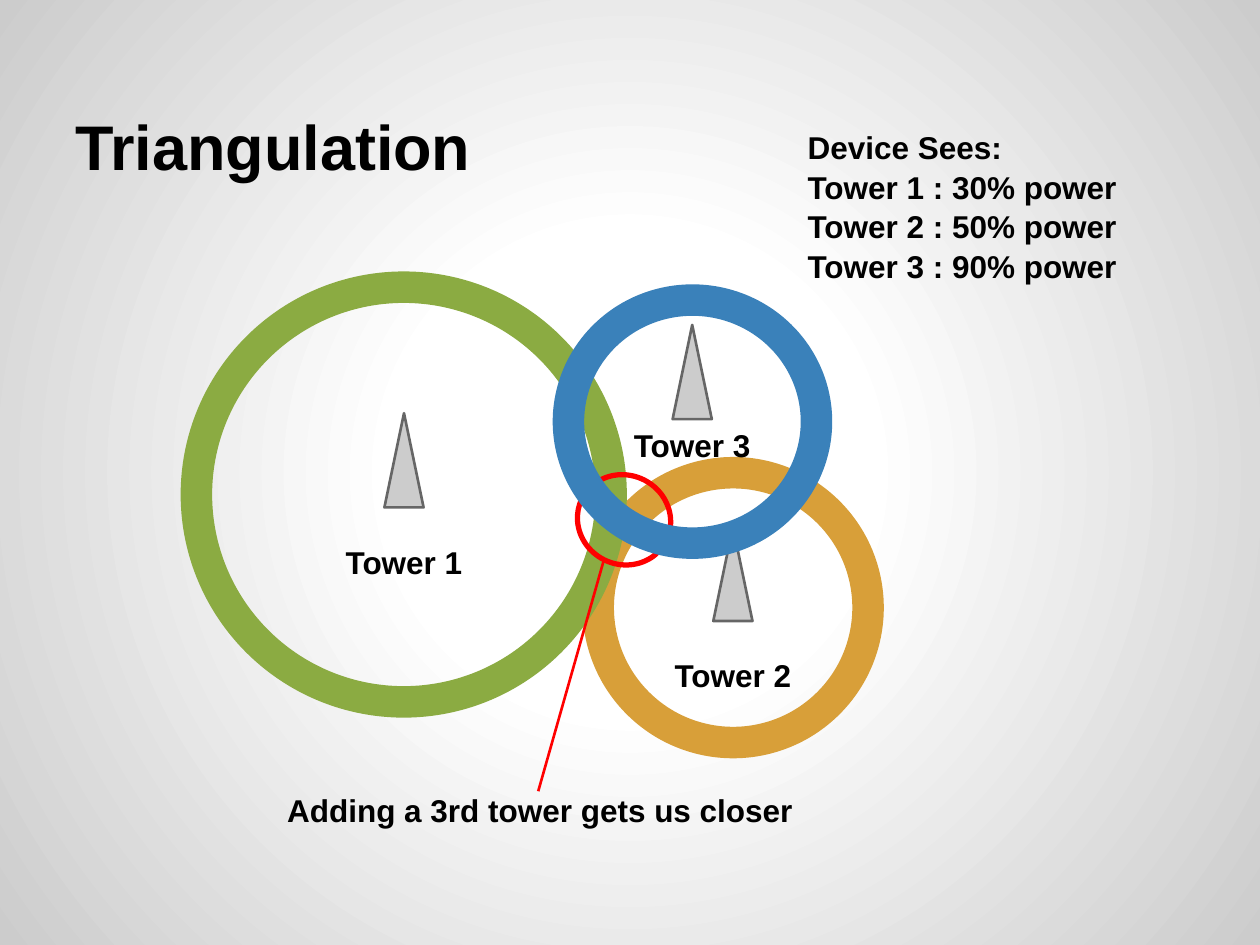
"""Builds the Triangulation slide, with three tower ranges and their overlap."""
import lxml.etree
import pptx
import pptx.dml.color
import pptx.enum.shapes
import pptx.enum.text
import pptx.oxml.ns
import pptx.util

Cm, Pt = pptx.util.Cm, pptx.util.Pt
RGBColor = pptx.dml.color.RGBColor
MSO_SHAPE = pptx.enum.shapes.MSO_SHAPE
PP_ALIGN = pptx.enum.text.PP_ALIGN
MSO_ANCHOR = pptx.enum.text.MSO_ANCHOR
qn = pptx.oxml.ns.qn

BLACK = RGBColor(0x00, 0x00, 0x00)
WHITE = RGBColor(0xFF, 0xFF, 0xFF)
SILVER = RGBColor(0xCC, 0xCC, 0xCC)
GREY = RGBColor(0x66, 0x66, 0x66)
ORANGE = RGBColor(0xD8, 0x9F, 0x39)
GREEN = RGBColor(0x8B, 0xAB, 0x42)
BLUE = RGBColor(0x3A, 0x81, 0xBA)
RED = RGBColor(0xFF, 0x00, 0x00)


class TowerSlide:
    font = "Arial"
    text_size = 18
    title_size = 36
    inset = Cm(0.25)
    tower_width, tower_height = 0.79, 1.9
    label_width, label_height = 3.33, 1.27

    def __init__(self, deck):
        self.slide = deck.slides.add_slide(deck.slide_layouts[5])

    def background(self, stops):
        self.slide.background.fill.gradient()
        gradient = self.slide.element.find(".//" + qn("a:gradFill"))
        for child in list(gradient):
            gradient.remove(child)
        stop_list = lxml.etree.SubElement(gradient, qn("a:gsLst"))
        for percent, color in stops:
            stop = lxml.etree.SubElement(stop_list, qn("a:gs"), pos=str(percent * 1000))
            lxml.etree.SubElement(stop, qn("a:srgbClr"), val=str(color))
        circle = lxml.etree.SubElement(gradient, qn("a:path"), path="circle")
        lxml.etree.SubElement(circle, qn("a:fillToRect"), l="50000", t="50000", r="50000", b="50000")

    def set_wording(self, shape, wording, size, align, anchor):
        frame = shape.text_frame
        frame.text = wording
        frame.word_wrap = True
        frame.auto_size = pptx.enum.text.MSO_AUTO_SIZE.NONE
        frame.vertical_anchor = anchor
        frame.margin_left = frame.margin_right = self.inset
        frame.margin_top = frame.margin_bottom = self.inset
        for paragraph in frame.paragraphs:
            paragraph.alignment = align
            for run in paragraph.runs:
                run.font.name = self.font
                run.font.size = Pt(size)
                run.font.bold = True
                run.font.color.rgb = BLACK

    def title(self, wording, left, top, width, height):
        heading = self.slide.shapes.title
        heading.left, heading.top = Cm(left), Cm(top)
        heading.width, heading.height = Cm(width), Cm(height)
        self.set_wording(heading, wording, self.title_size, PP_ALIGN.LEFT, MSO_ANCHOR.BOTTOM)

    def text(self, wording, left, top, width, height, align=PP_ALIGN.LEFT, spacing=1.0):
        box = self.slide.shapes.add_textbox(Cm(left), Cm(top), Cm(width), Cm(height))
        self.set_wording(box, wording, self.text_size, align, MSO_ANCHOR.TOP)
        for paragraph in box.text_frame.paragraphs:
            paragraph.line_spacing = spacing

    def outline(self, preset, left, top, width, height, color, weight):
        shape = self.slide.shapes.add_shape(preset, Cm(left), Cm(top), Cm(width), Cm(height))
        shape.shadow.inherit = False
        shape.fill.background()
        shape.line.color.rgb = color
        shape.line.width = Pt(weight)
        return shape

    def ring(self, left, top, width, height, color, weight=18, rotation=0):
        circle = self.outline(MSO_SHAPE.OVAL, left, top, width, height, color, weight)
        circle.rotation = rotation

    def tower(self, wording, left, top, label_drop=2.36):
        mast = self.outline(MSO_SHAPE.ISOSCELES_TRIANGLE, left, top,
                            self.tower_width, self.tower_height, GREY, 1.5)
        mast.fill.solid()
        mast.fill.fore_color.rgb = SILVER
        label_left = left + (self.tower_width - self.label_width) / 2
        self.text(wording, label_left, top + label_drop,
                  self.label_width, self.label_height, PP_ALIGN.CENTER)

    def pointer(self, start, end, color, weight):
        line = self.slide.shapes.add_connector(
            pptx.enum.shapes.MSO_CONNECTOR.STRAIGHT, *map(Cm, start + end))
        line.line.color.rgb = color
        line.line.width = Pt(weight)
        properties = line.element.find(qn("p:spPr"))
        lxml.etree.SubElement(properties, qn("a:effectLst"))


def main():
    deck = pptx.Presentation()
    deck.slide_width, deck.slide_height = Cm(25.4), Cm(19.05)
    page = TowerSlide(deck)
    page.background([(0, WHITE), (30, WHITE), (100, SILVER)])
    page.title("Triangulation", 1.27, 0.76, 22.86, 3.18)
    page.ring(12.06, 9.53, 5.44, 5.44, ORANGE)
    page.tower("Tower 1", 7.75, 8.33)
    readings = [("Tower 1", 30), ("Tower 2", 50), ("Tower 3", 90)]
    lines = ["Device Sees:"] + [f"{name} : {power}% power" for name, power in readings]
    page.text("\n".join(lines), 16.03, 2.29, 8.36, 5.21, spacing=1.05)
    page.ring(3.96, 5.79, 8.36, 8.36, GREEN)
    page.tower("Tower 2", 14.38, 10.62)
    page.ring(11.63, 9.58, 1.9, 1.8, RED, weight=3, rotation=26.7)
    page.text("Adding a 3rd tower gets us closer", 5.54, 15.7, 11.71, 1.27)
    page.pointer((10.85, 15.95), (12.17, 11.3), RED, 1.5)
    page.ring(11.46, 6.05, 5, 4.9, BLUE)
    page.tower("Tower 3", 13.56, 6.55, label_drop=1.78)
    deck.save("out.pptx")


if __name__ == "__main__":
    main()
